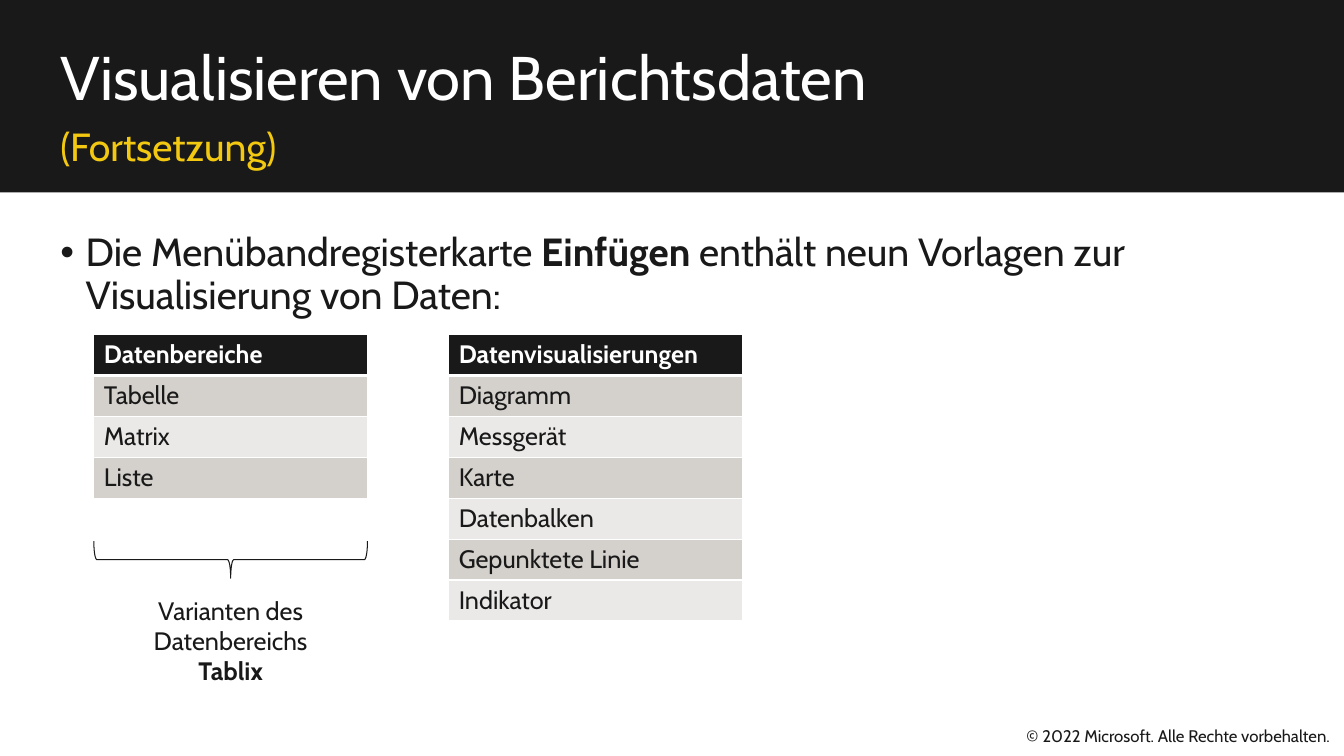
from lxml.etree import SubElement
from pptx import Presentation
from pptx.dml.color import RGBColor
from pptx.enum.shapes import MSO_SHAPE as SHAPE
from pptx.enum.text import MSO_ANCHOR as ANCHOR, MSO_AUTO_SIZE as AUTO_SIZE, PP_ALIGN as ALIGN
from pptx.oxml.ns import qn
from pptx.util import Pt

INK = RGBColor(0x19, 0x19, 0x19)
WHITE = RGBColor(0xFF, 0xFF, 0xFF)
YELLOW = RGBColor(0xF2, 0xC8, 0x11)
ROW_DARK = RGBColor(0xD4, 0xD0, 0xCC)
ROW_LIGHT = RGBColor(0xEB, 0xE9, 0xE8)
FONT = "Cabin"
SLIDE_W, SLIDE_H = 960, 540
ROW_H = 29.25


def place(shape, left, top, width, height):
    shape.left, shape.top = Pt(left), Pt(top)
    shape.width, shape.height = Pt(width), Pt(height)


def format_font(paragraph, size, color, bold=None):
    paragraph.font.name = FONT
    paragraph.font.size = Pt(size)
    paragraph.font.color.rgb = color
    paragraph.font.bold = bold


def write_runs(paragraph, *parts):
    for text, bold in parts:
        run = paragraph.add_run()
        run.text = text
        if bold:
            run.font.bold = True


def prepare_placeholder(holder, box, anchor):
    place(holder, *box)
    frame = holder.text_frame
    frame.word_wrap = True
    frame.auto_size = AUTO_SIZE.NONE
    frame.vertical_anchor = anchor
    paragraph = frame.paragraphs[0]
    paragraph.alignment = ALIGN.LEFT
    paragraph.line_spacing = 0.9
    paragraph.space_before = Pt(0)
    return paragraph


def set_bullet(paragraph, indent, bullet=None):
    properties = paragraph._p.get_or_add_pPr()
    properties.set("marL", str(Pt(indent)))
    properties.set("indent", str(Pt(-indent)))
    if bullet:
        SubElement(properties, qn("a:buFont"), typeface="Arial")
        SubElement(properties, qn("a:buChar"), char=bullet)
    else:
        SubElement(properties, qn("a:buNone"))


def add_header(slide, title, subtitle, left, top, width, height):
    band = slide.shapes.add_shape(SHAPE.RECTANGLE, Pt(left), Pt(top), Pt(width), Pt(height))
    band.shadow.inherit = False
    band.fill.solid()
    band.fill.fore_color.rgb = INK
    band.line.fill.background()
    slide.shapes._spTree.insert(2, band._element)

    heading = prepare_placeholder(
        slide.shapes.title, (left + 36, top + 30.25, width - 75, 54.7), ANCHOR.TOP)
    heading.text = title
    format_font(heading, 44, WHITE)

    continuation = prepare_placeholder(
        slide.placeholders[1], (left + 36, top + 85, width - 75, 42.5), ANCHOR.MIDDLE)
    continuation.text = subtitle
    set_bullet(continuation, 0)
    format_font(continuation, 28, YELLOW)


def add_statement(slide, parts, left, top, width, height):
    statement = prepare_placeholder(
        slide.placeholders[2], (left, top, width, height), ANCHOR.TOP)
    write_runs(statement, *parts)
    set_bullet(statement, 18, "•")
    format_font(statement, 28, INK)


def add_borders(cell, top, bottom):
    properties = cell._tc.get_or_add_tcPr()
    for side, weight in (("L", 1), ("R", 1), ("T", top), ("B", bottom)):
        border = SubElement(properties, qn(f"a:ln{side}"), w=str(Pt(weight)))
        SubElement(SubElement(border, qn("a:solidFill")), qn("a:srgbClr"), val=str(WHITE))


def add_list_table(slide, entries, left, top, width):
    table = slide.shapes.add_table(
        len(entries), 1, Pt(left), Pt(top), Pt(width), Pt(ROW_H * len(entries))).table
    table.columns[0].width = Pt(width)
    for index, entry in enumerate(entries):
        is_header = index == 0
        table.rows[index].height = Pt(ROW_H)
        cell = table.cell(index, 0)
        cell.text = entry
        add_borders(cell, 3 if index == 1 else 1, 3 if is_header else 1)
        cell.fill.solid()
        cell.fill.fore_color.rgb = INK if is_header else ROW_DARK if index % 2 else ROW_LIGHT
        format_font(cell.text_frame.paragraphs[0], 18, WHITE if is_header else INK, is_header)


def add_brace_note(slide, parts, left, top, width):
    depth = 26.5
    brace = slide.shapes.add_shape(
        SHAPE.RIGHT_BRACE, Pt(left + (width - depth) / 2), Pt(top + (depth - width) / 2),
        Pt(depth), Pt(width))
    brace.rotation = 90
    brace.shadow.inherit = False
    brace.fill.background()
    brace.line.color.rgb = INK
    brace.line.width = Pt(0.75)

    note_width = 133
    note = slide.shapes.add_textbox(
        Pt(left + (width - note_width) / 2), Pt(top + 35), Pt(note_width), Pt(72.7))
    note.text_frame.word_wrap = True
    caption = note.text_frame.paragraphs[0]
    caption.alignment = ALIGN.CENTER
    write_runs(caption, *parts)
    format_font(caption, 18, INK)


def add_footer(slide, text, left, top, width, height):
    footer = slide.shapes.add_textbox(Pt(left), Pt(top), Pt(width), Pt(height))
    footer.text_frame.word_wrap = True
    footer.text_frame.vertical_anchor = ANCHOR.MIDDLE
    notice = footer.text_frame.paragraphs[0]
    notice.text = text
    notice.alignment = ALIGN.RIGHT
    format_font(notice, 12, INK)


def main():
    deck = Presentation()
    deck.slide_width, deck.slide_height = Pt(SLIDE_W), Pt(SLIDE_H)
    slide = deck.slides.add_slide(deck.slide_layouts.get_by_name("Two Content"))

    add_header(slide, "Visualisieren von Berichtsdaten", "(Fortsetzung)", 0, 0, SLIDE_W, 137.5)
    add_statement(slide, [
        ("Die Menübandregisterkarte ", False),
        ("Einfügen", True),
        (" enthält neun Vorlagen zur Visualisierung von Daten:", False),
    ], 36, 162.7, 885, 377.3)
    add_list_table(slide, ["Datenbereiche", "Tabelle", "Matrix", "Liste"], 67, 239, 195.5)
    add_brace_note(slide, [("Varianten des Datenbereichs ", False), ("Tablix", True)],
                   67, 386.5, 195.5)
    add_list_table(slide, [
        "Datenvisualisierungen", "Diagramm", "Messgerät", "Karte",
        "Datenbalken", "Gepunktete Linie", "Indikator",
    ], 320.5, 239, 210)
    add_footer(slide, "© 2022 Microsoft. Alle Rechte vorbehalten. ", 711, 511, 249, 29)

    deck.save("out.pptx")


if __name__ == "__main__":
    main()
